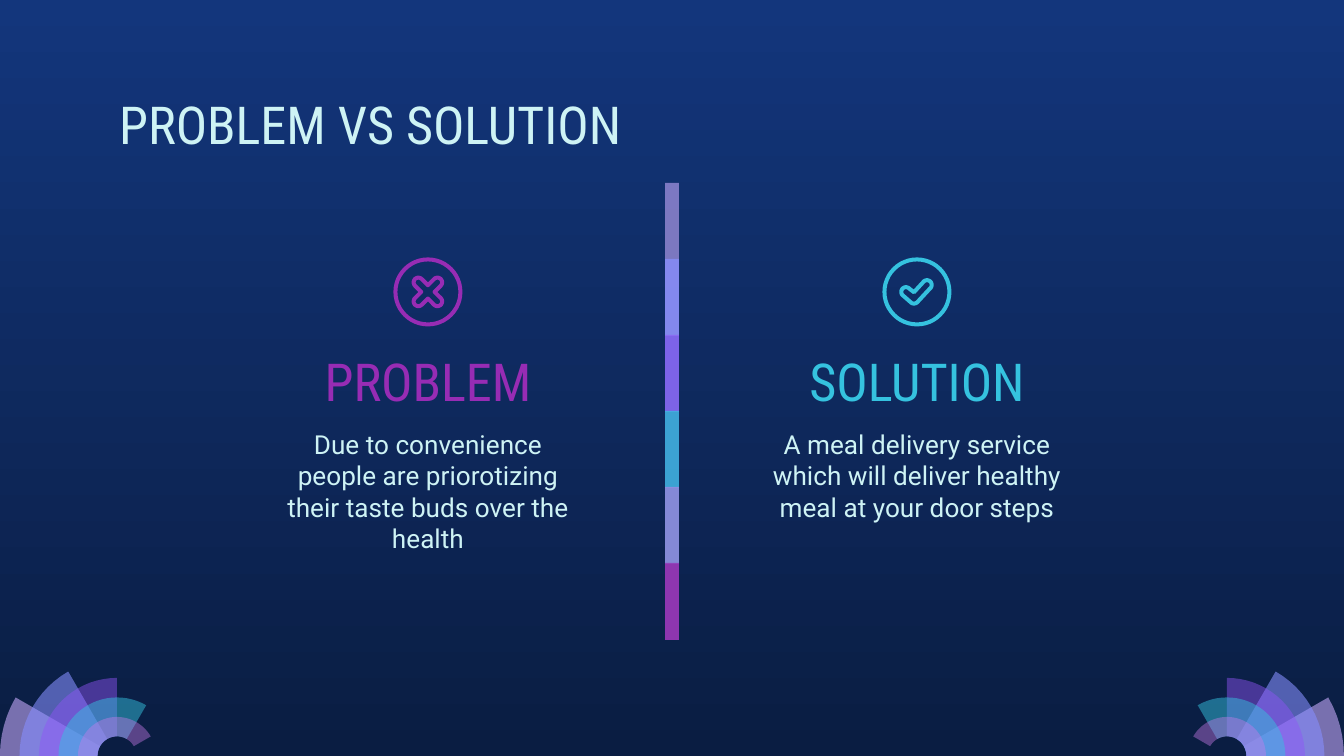
import math

import lxml.etree
import pptx
import pptx.dml.color
import pptx.enum.shapes
import pptx.enum.text
import pptx.oxml.ns
import pptx.util

RGB = pptx.dml.color.RGBColor
SHAPE = pptx.enum.shapes.MSO_SHAPE
ALIGN = pptx.enum.text.PP_ALIGN
QN = pptx.oxml.ns.qn

PX = 914400 / 134.4
WIDE, HIGH = 1344, 756

NAVY = RGB(0x13, 0x36, 0x7C)
NIGHT = RGB(0x0A, 0x1D, 0x42)
ICE = RGB(0xCE, 0xF3, 0xF5)
LILAC = RGB(0xC8, 0xAC, 0xFD)
PERI = RGB(0x87, 0x8F, 0xFF)
VIOLET = RGB(0x91, 0x54, 0xF8)
CYAN = RGB(0x35, 0xC2, 0xDF)
ORCHID = RGB(0xCA, 0x7B, 0xEB)
PURPLE = RGB(0x97, 0x2C, 0xB4)

HEAD = "Roboto Condensed"
BODY = "Roboto"

PETALS = [(LILAC, 58), (PERI, 58), (VIOLET, 46), (CYAN, 49), (ORCHID, 42)]
BANDS = [(LILAC, 59), (PERI, 74), (VIOLET, 53), (CYAN, 76), (ORCHID, 56),
         (PURPLE, 74)]

STROKE = 4   # icon line width
ROUND = 4.7  # icon corner radius, to the middle of the line


def emu(px):
    return round(px * PX)


def arc(x, y, rad, start, end):
    """Points on a circle; degrees run clockwise from the right."""
    count = max(2, math.ceil(abs(end - start) / 5))
    turns = [math.radians(start + (end - start) * i / count)
             for i in range(count + 1)]
    return [(x + rad * math.cos(t), y + rad * math.sin(t)) for t in turns]


class Deck:
    def __init__(self):
        self.file = pptx.Presentation()
        self.file.slide_width = emu(WIDE)
        self.file.slide_height = emu(HIGH)
        self.slide = self.file.slides.add_slide(self.file.slide_layouts[6])
        self.shapes = self.slide.shapes

    def ground(self, top, base):
        fill = self.slide.background.fill
        fill.gradient()
        fill.gradient_angle = 270
        for stop, color, place in zip(fill.gradient_stops, (top, base), (0, 1)):
            stop.color.rgb = color
            stop.position = place

    def paint(self, shape, color, alpha):
        """Fill a shape with a see-through colour and no line."""
        shape.shadow.inherit = False
        shape.line.fill.background()
        shape.fill.solid()
        shape.fill.fore_color.rgb = color
        tint = shape._element.spPr.find(QN("a:solidFill"))[0]
        lxml.etree.SubElement(tint, QN("a:alpha"), val=str(alpha * 1000))

    def trace(self, shape, color):
        """Give a shape an outline and no fill."""
        shape.shadow.inherit = False
        shape.fill.background()
        shape.line.color.rgb = color
        shape.line.width = emu(STROKE)

    def outline(self, points):
        spots = [(emu(x), emu(y)) for x, y in points]
        form = self.shapes.build_freeform(*spots[0], scale=1.0)
        form.add_line_segments(spots[1:], close=True)
        return form.convert_to_shape()

    def bar(self, x, y, w, h, color, alpha):
        rect = self.shapes.add_shape(SHAPE.RECTANGLE, emu(x), emu(y),
                                     emu(w), emu(h))
        self.paint(rect, color, alpha)

    def fan(self, flip):
        """Five petals that open from a bottom corner, each 30 degrees wider."""
        mid, step = 117, 19.5
        for i, (color, alpha) in enumerate(PETALS):
            end = 210 + 30 * i
            points = arc(mid, HIGH, step * (6 - i), 180, end)
            points += arc(mid, HIGH, step, end, 180)
            if flip:
                points = [(WIDE - x, y) for x, y in points]
            self.paint(self.outline(points), color, alpha)

    def ring(self, x, y, color):
        size = 65
        oval = self.shapes.add_shape(SHAPE.OVAL, emu(x - size / 2),
                                     emu(y - size / 2), emu(size), emu(size))
        self.trace(oval, color)

    def cross(self, x, y, color):
        reach = 13.5
        points = []
        for turn in range(45, 405, 90):
            t = math.radians(turn)
            points += arc(x + reach * math.cos(t), y + reach * math.sin(t),
                          ROUND, turn - 90, turn + 90)
            t += math.pi / 4
            notch = ROUND * math.sqrt(2)
            points.append((x + notch * math.cos(t), y + notch * math.sin(t)))
        self.trace(self.outline(points), color)

    def tick(self, x, y, color):
        points = arc(x - 3, y + 7, ROUND, 135, 45)
        points += arc(x + 10, y - 7, ROUND, 45, -135)
        points.append((x - 3, y + 7 - ROUND * math.sqrt(2)))
        points += arc(x - 11, y, ROUND, -45, -225)
        self.trace(self.outline(points), color)

    def text(self, x, y, w, h, words, font, size, color, align=ALIGN.CENTER):
        box = self.shapes.add_textbox(emu(x), emu(y), emu(w), emu(h))
        frame = box.text_frame
        frame.word_wrap = True
        frame.margin_left = frame.margin_right = pptx.util.Inches(0.1)
        frame.margin_top = frame.margin_bottom = pptx.util.Inches(0.1)
        frame.text = words
        para = frame.paragraphs[0]
        para.alignment = align
        face = para.runs[0].font
        face.name = font
        face.size = pptx.util.Pt(size)
        face.color.rgb = color

    def column(self, x, icon, color, head, words):
        wide = 316
        mid = x + wide // 2
        self.ring(mid, 292, color)
        icon(mid, 292, color)
        self.text(x, 336, wide, 85, head, HEAD, 28, color)
        self.text(x, 415, wide, 150, words, BODY, 14, ICE)


def main():
    deck = Deck()
    deck.ground(NAVY, NIGHT)
    deck.fan(flip=False)
    deck.fan(flip=True)

    step = 76
    for i, (color, alpha) in enumerate(BANDS):
        tall = 77 if i == len(BANDS) - 1 else 153
        deck.bar(665, 183 + step * i, 14, tall, color, alpha)

    deck.text(106, 79, 1133, 85, "PROBLEM VS SOLUTION", HEAD, 28, ICE,
              ALIGN.LEFT)
    deck.column(270, deck.cross, PURPLE, "PROBLEM",
                "Due to convenience people are priorotizing their taste buds "
                "over the health")
    deck.column(759, deck.tick, CYAN, "SOLUTION",
                "A meal delivery service which will deliver healthy meal at "
                "your door steps")
    deck.file.save("out.pptx")


if __name__ == "__main__":
    main()
